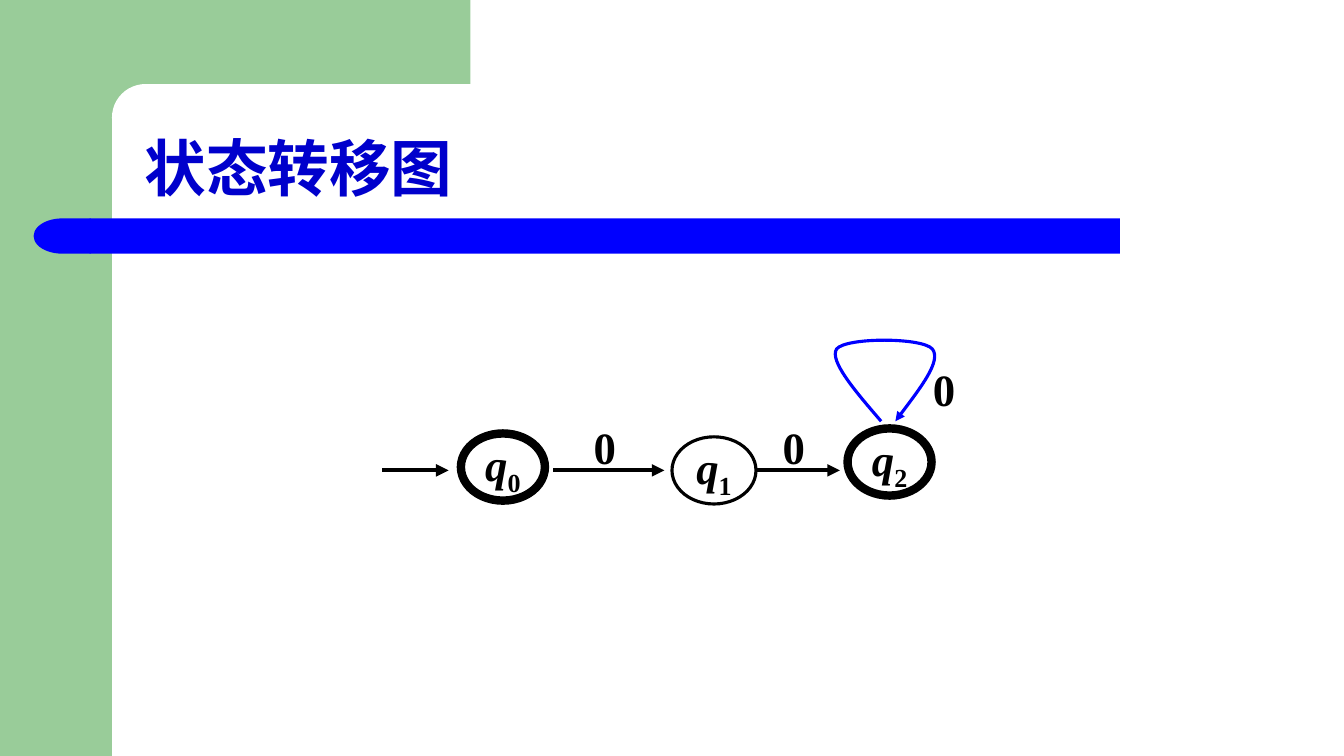
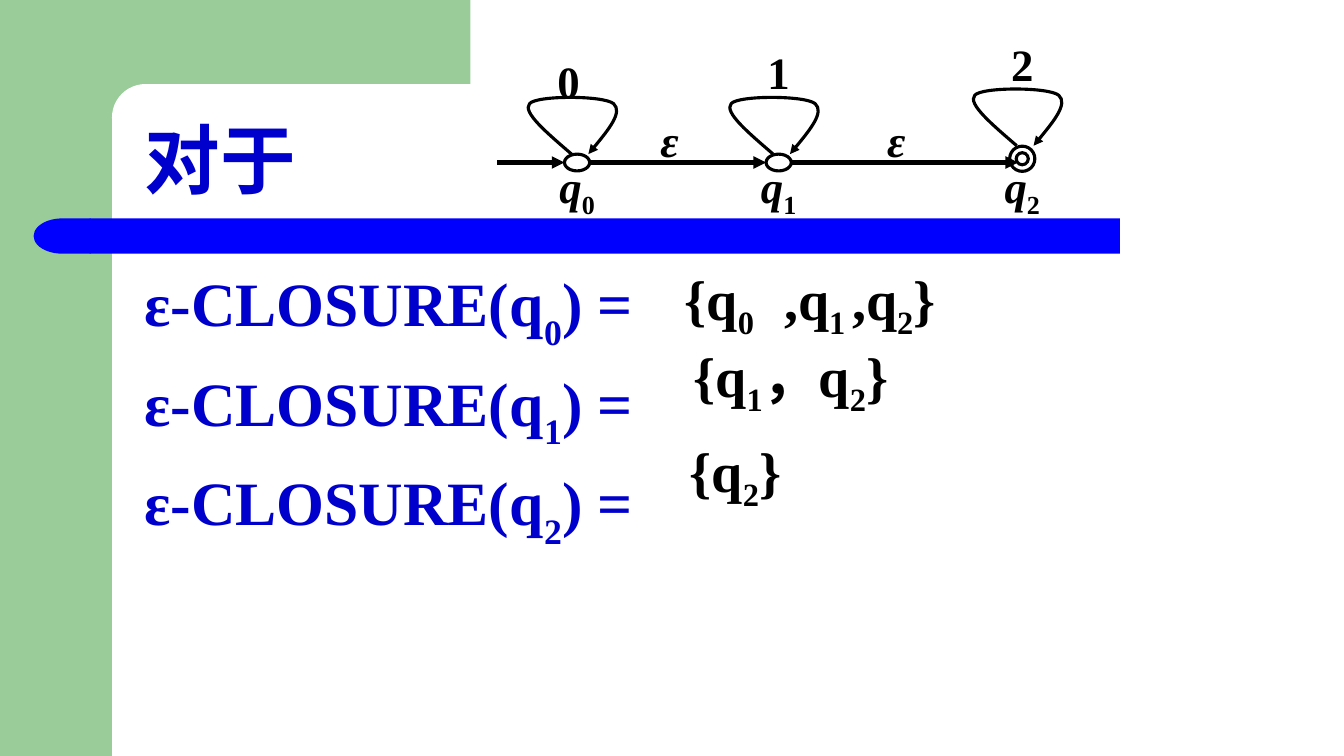
from dataclasses import dataclass

from lxml import etree
from pptx import Presentation
from pptx.dml.color import RGBColor
from pptx.enum.shapes import MSO_CONNECTOR, MSO_SHAPE, PP_PLACEHOLDER
from pptx.enum.text import MSO_ANCHOR, MSO_AUTO_SIZE, PP_ALIGN
from pptx.oxml.ns import qn
from pptx.util import Inches, Pt

RECT, ROUND = MSO_SHAPE.RECTANGLE, MSO_SHAPE.ROUNDED_RECTANGLE
DELAY, OVAL, DONUT = MSO_SHAPE.FLOWCHART_DELAY, MSO_SHAPE.OVAL, MSO_SHAPE.DONUT
STRAIGHT = MSO_CONNECTOR.STRAIGHT
LEFT, CENTER, JUSTIFY = PP_ALIGN.LEFT, PP_ALIGN.CENTER, PP_ALIGN.JUSTIFY
TOP, MIDDLE, BOTTOM = MSO_ANCHOR.TOP, MSO_ANCHOR.MIDDLE, MSO_ANCHOR.BOTTOM

# Grid of 160 columns by 90 rows, twelve cells to the inch
COLS, ROWS = 160, 90
GREEN, BLUE, NAVY, BLACK, WHITE = "99CC99", "0000FF", "0000CC", "000000", "FFFFFF"
SANS, SERIF = "Noto Sans CJK SC", "Times New Roman"

# Bezier control points of the self-loops, in cells from the starting point
LOW_LOOP = [(-2.9, -2.5), (-5.9, -5), (-5, -6), (-4.2, -7), (3.8, -7),
            (5, -6), (6.1, -5), (4.1, -2.5), (2, 0)]
TALL_LOOP = [(-3.1, -3.6), (-6.2, -7.2), (-5.3, -8.6), (-4.2, -10), (4.9, -10),
             (6.1, -8.6), (7.2, -7.2), (4.4, -3.6), (1.7, 0)]


@dataclass
class Band:
    kind: int
    box: tuple
    color: str
    adj: float | None = None


@dataclass
class Node:
    x: float
    y: float
    w: float
    h: float
    line: float
    text: str = ""
    kind: int = OVAL


@dataclass
class Label:
    text: str
    x: float
    y: float
    w: float = 7
    italic: bool = False
    size: int = 32


FRAME = [
    Band(RECT, (0, 0, 13.33, ROWS), GREEN),
    Band(RECT, (12, 0, 44, 14), GREEN),
    Band(ROUND, (13.33, 10, 89.33, 8), WHITE, 0.5),
    Band(RECT, (10.67, 26, 122.67, 4.2), BLUE),
    Band(DELAY, (4, 26, 6.8, 4.2), BLUE),
]


def cell(n: float) -> int:
    return Inches(n / 12)


def cells(box) -> list:
    return [cell(n) for n in box]


def centred(x: float, y: float, w: float, h: float) -> list:
    return cells((x - w / 2, y - h / 2, w, h))


def rgb(color: str) -> RGBColor:
    return RGBColor.from_string(color)


def style(p, size: int, color: str, font: str, align, italic: bool = False):
    p.alignment = align
    f = p.font
    f.size, f.bold, f.name = Pt(size), True, font
    if italic:
        f.italic = True
    f.color.rgb = rgb(color)
    if font == SANS:
        etree.SubElement(p._p.pPr.find(qn("a:defRPr")), qn("a:ea"), typeface=font)


def add_runs(p, text: str, drop: int = 25):
    """Write text; the character after each underscore is a subscript."""
    first, *rest = text.split("_")
    pieces = [(first, False)]
    for part in rest:
        pieces += [(part[0], True), (part[1:], False)]
    for piece, sub in pieces:
        if piece:
            r = p.add_run()
            r.text = piece
            if sub:
                r.font.italic = False
                r._r.get_or_add_rPr().set("baseline", str(-drop * 1000))


def set_frame(tf, anchor, wrap: bool = True, inset: float = 0):
    tf.word_wrap, tf.auto_size = wrap, MSO_AUTO_SIZE.NONE
    tf.vertical_anchor = anchor
    tf.margin_left = tf.margin_right = Inches(inset)
    tf.margin_top = tf.margin_bottom = Inches(inset / 2)


def set_line(line, color: str, width: float, arrow: bool = False):
    line.fill.solid()
    line.fill.fore_color.rgb = rgb(color)
    line.width = Pt(width)
    if arrow:
        etree.SubElement(line._get_or_add_ln(), qn("a:tailEnd"), type="triangle")


def add_frame(s):
    """Draw the shared bands and keep them in the layout."""
    layout = s.slide_layout
    for ph in list(layout.placeholders):
        if ph.placeholder_format.type != PP_PLACEHOLDER.TITLE:
            ph.element.getparent().remove(ph.element)
    for i, band in enumerate(FRAME):
        sp = s.shapes.add_shape(band.kind, *cells(band.box))
        sp.shadow.inherit = False
        sp.fill.solid()
        sp.fill.fore_color.rgb = rgb(band.color)
        sp.line.fill.background()
        if band.adj is not None:
            sp.adjustments[0] = band.adj
        if band.kind == DELAY:
            sp.element.spPr.xfrm.set("flipH", "1")
        layout.shapes.element.insert(2 + i, sp.element)


def set_title(s, text: str, size: int):
    sp = s.shapes.title
    sp.left, sp.top, sp.width, sp.height = cells((16, 10, 140, 15))
    set_frame(sp.text_frame, BOTTOM, inset=0.1)
    p = sp.text_frame.paragraphs[0]
    p.line_spacing = 0.9
    add_runs(p, text)
    style(p, size, NAVY, SANS, LEFT)


def add_arrow(s, x1: float, x2: float, y: float):
    line = s.shapes.add_connector(STRAIGHT, *cells((x1, y, x2, y)))
    set_line(line.line, BLACK, 3, arrow=True)
    etree.SubElement(line.element.spPr, qn("a:effectLst"))


def add_node(s, node: Node):
    sp = s.shapes.add_shape(node.kind, *centred(node.x, node.y, node.w, node.h))
    sp.shadow.inherit = False
    sp.fill.background()
    set_line(sp.line, BLACK, node.line)
    if node.kind == DONUT:
        sp.adjustments[0] = 0.26
    if node.text:
        set_frame(sp.text_frame, MIDDLE, wrap=False)
        p = sp.text_frame.paragraphs[0]
        add_runs(p, node.text)
        style(p, 32, BLACK, SERIF, CENTER, italic=True)


def add_label(s, label: Label):
    box = centred(label.x, label.y, label.w, label.size / 5)
    tf = s.shapes.add_textbox(*box).text_frame
    set_frame(tf, MIDDLE)
    p = tf.paragraphs[0]
    add_runs(p, label.text)
    style(p, label.size, BLACK, SERIF, CENTER, label.italic)


def add_loop(s, x: float, y: float, controls: list, color: str):
    fb = s.shapes.build_freeform(cell(x), cell(y))
    fb.add_line_segments([(cell(x + dx), cell(y + dy)) for dx, dy in controls],
                         close=False)
    sp = fb.convert_to_shape()
    # Each three line segments become one cubic curve
    segments = list(sp.element.iter(qn("a:lnTo")))
    outline = segments[0].getparent()
    for i in range(0, len(segments), 3):
        curve = etree.SubElement(outline, qn("a:cubicBezTo"))
        for segment in segments[i:i + 3]:
            curve.append(segment[0])
            outline.remove(segment)
    sp.shadow.inherit = False
    sp.fill.background()
    set_line(sp.line, color, 2.25, arrow=True)


def draw_transitions(s):
    set_title(s, "状态转移图", 44)
    for x1, x2 in [(45.5, 53.4), (65.85, 79.1), (90, 100)]:
        add_arrow(s, x1, x2, 56)
    add_loop(s, 104.9, 50.15, TALL_LOOP, BLUE)
    for x, y in [(72, 53.2), (94.5, 53.2), (112.4, 46.3)]:
        add_label(s, Label("0", x, y, w=3))
    for i, (x, y, line) in enumerate([(59.87, 55.6, 6), (85, 56, 2.25),
                                      (105.9, 55, 6)]):
        add_node(s, Node(x, y, 10, 8, line, f"q_{i}"))


def draw_closures(s):
    set_title(s, "对于", 54)

    # Closure expressions
    tf = s.shapes.add_textbox(*cells((16, 31, 140, 49))).text_frame
    set_frame(tf, TOP, inset=0.1)
    for i in range(3):
        p = tf.add_paragraph() if i else tf.paragraphs[0]
        if i:
            p.space_before = Pt(8.8)
        add_runs(p, f"ε-CLOSURE(q_{i}) =", drop=30)
        style(p, 44, NAVY, SERIF, JUSTIFY)

    # Automaton
    for x1, x2 in [(59.2, 67.2), (70.2, 91.2), (94.2, 121.2)]:
        add_arrow(s, x1, x2, 19.35)
    add_node(s, Node(68.7, 19.35, 3, 2, 2.25))
    add_node(s, Node(92.7, 19.35, 3, 2, 2.25))
    add_node(s, Node(121.7, 18.9, 3, 3, 2.25, kind=DONUT))
    for i, (x, loop_y, label_y) in enumerate([(68.7, 18.35, 9.6), (92.7, 18.35, 8.5),
                                              (121.7, 17.35, 7.6)]):
        add_loop(s, x - 0.65, loop_y, LOW_LOOP, BLACK)
        add_label(s, Label(f"q_{i}", x, 22.55, italic=True))
        add_label(s, Label(str(i), x if i else x - 1, label_y))
    for x in (79.7, 106.7):
        add_label(s, Label("ε", x, 16.6, w=3, italic=True))

    # Resulting sets
    for text, x, y, w in [("{q_0", 85.65, 36, 13), (",q_1", 97, 36, 13),
                          (",q_2}", 106.4, 36, 13), ("{q_1，q_2}", 94.15, 45.2, 30),
                          ("{q_2}", 87.55, 56.5, 15)]:
        add_label(s, Label(text, x, y, w, size=40))


def main():
    prs = Presentation()
    prs.slide_width, prs.slide_height = cell(COLS), cell(ROWS)
    layout = prs.slide_layouts[5]
    for i, draw in enumerate((draw_transitions, draw_closures)):
        s = prs.slides.add_slide(layout)
        if i == 0:
            add_frame(s)
        draw(s)
    prs.save("out.pptx")


if __name__ == "__main__":
    main()
